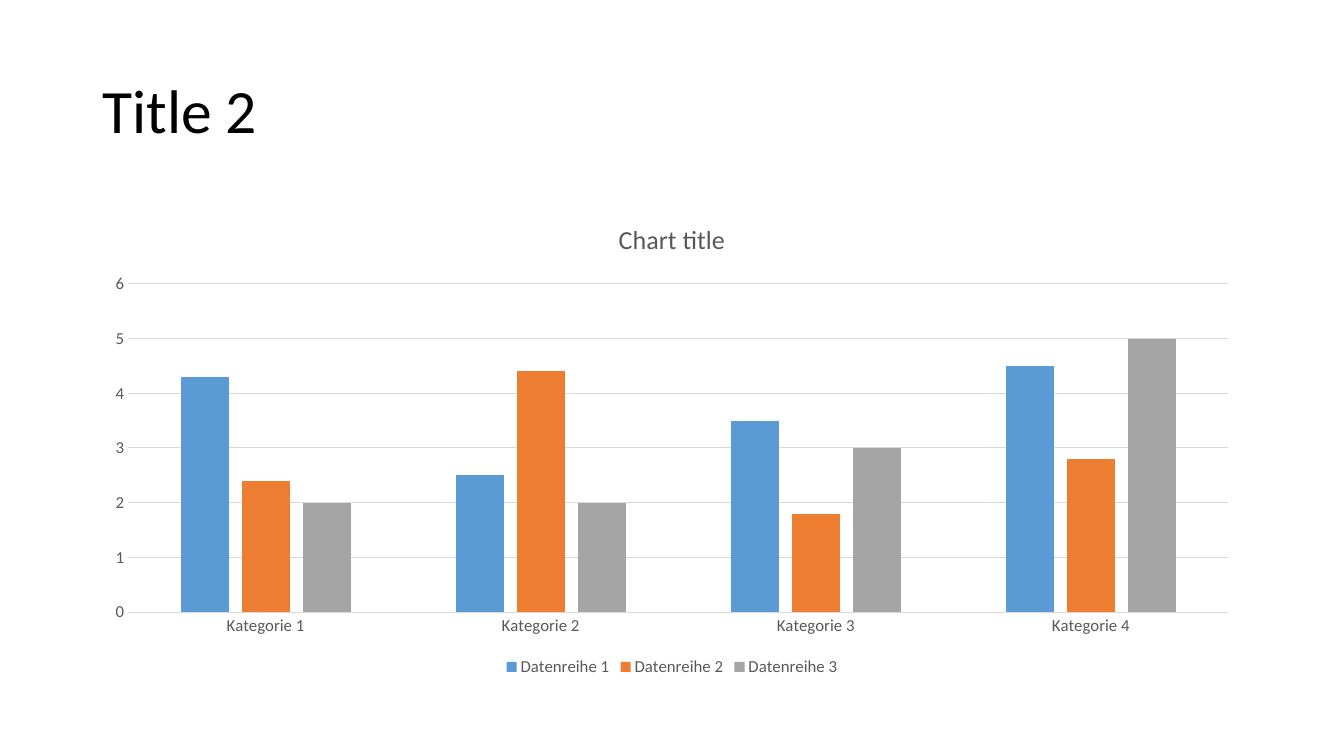
"""Build a slide with a title and a clustered column chart."""
import pptx
import pptx.chart.data
import pptx.dml.color
import pptx.enum.chart
import pptx.enum.text
import pptx.util

HEADING = "Title 2"
CHART_HEADING = "Chart title"
CATEGORIES = ["Kategorie 1", "Kategorie 2", "Kategorie 3", "Kategorie 4"]
SERIES = [
    ("Datenreihe 1", (4.3, 2.5, 3.5, 4.5), "5B9BD5"),
    ("Datenreihe 2", (2.4, 4.4, 1.8, 2.8), "ED7D31"),
    ("Datenreihe 3", (2, 2, 3, 5), "A5A5A5"),
]
FONT, GREY, RULE = "Calibri", "595959", "D9D9D9"
LEFT, WIDTH = 66, 828
Pt = pptx.util.Pt


def paint(color_format, color):
    color_format.rgb = pptx.dml.color.RGBColor.from_string(color)


def style(font, size=12, color=GREY):
    font.name, font.size, font.bold = FONT, Pt(size), False
    paint(font.color, color)


def write(frame, text, size=12, color=GREY, align=None, spacing=None):
    frame.text = text
    paragraph = frame.paragraphs[0]
    paragraph.alignment, paragraph.line_spacing = align, spacing
    style(paragraph.runs[0].font, size, color)


def rule(line):
    line.width = Pt(0.75)
    paint(line.color, RULE)


def add_heading(slide):
    heading = slide.shapes.title
    heading.left, heading.top = Pt(LEFT), Pt(28.75)
    heading.width, heading.height = Pt(WIDTH), Pt(104.38)
    frame = heading.text_frame
    frame.word_wrap = True
    frame.auto_size = pptx.enum.text.MSO_AUTO_SIZE.NONE
    frame.vertical_anchor = pptx.enum.text.MSO_ANCHOR.MIDDLE
    write(frame, HEADING, size=44, color="000000",
          align=pptx.enum.text.PP_ALIGN.LEFT, spacing=0.9)


def add_columns(slide):
    data = pptx.chart.data.CategoryChartData()
    data.categories = CATEGORIES
    for name, values, _ in SERIES:
        data.add_series(name, values)
    chart = slide.shapes.add_chart(
        pptx.enum.chart.XL_CHART_TYPE.COLUMN_CLUSTERED,
        Pt(LEFT), Pt(143.75), Pt(WIDTH), Pt(342.62), data).chart
    style(chart.font)
    write(chart.chart_title.text_frame, CHART_HEADING, size=18.6)
    chart.chart_title.include_in_layout = False

    plot = chart.plots[0]
    plot.gap_width, plot.overlap, plot.vary_by_categories = 219, -27, False
    for columns, (_, _, color) in zip(plot.series, SERIES):
        columns.format.fill.solid()
        paint(columns.format.fill.fore_color, color)

    for axis in (chart.category_axis, chart.value_axis):
        axis.major_tick_mark = pptx.enum.chart.XL_TICK_MARK.NONE
        axis.minor_tick_mark = pptx.enum.chart.XL_TICK_MARK.NONE
        style(axis.tick_labels.font)
    rule(chart.category_axis.format.line)
    scale = chart.value_axis
    scale.minimum_scale, scale.maximum_scale, scale.major_unit = 0, 6, 1
    scale.format.line.fill.background()
    rule(scale.major_gridlines.format.line)

    chart.has_legend = True
    chart.legend.position = pptx.enum.chart.XL_LEGEND_POSITION.BOTTOM
    chart.legend.include_in_layout = False
    style(chart.legend.font)


def main():
    deck = pptx.Presentation()
    deck.slide_width, deck.slide_height = Pt(960), Pt(540)
    slide = deck.slides.add_slide(deck.slide_layouts[5])
    add_heading(slide)
    add_columns(slide)
    deck.save("out.pptx")


if __name__ == "__main__":
    main()
